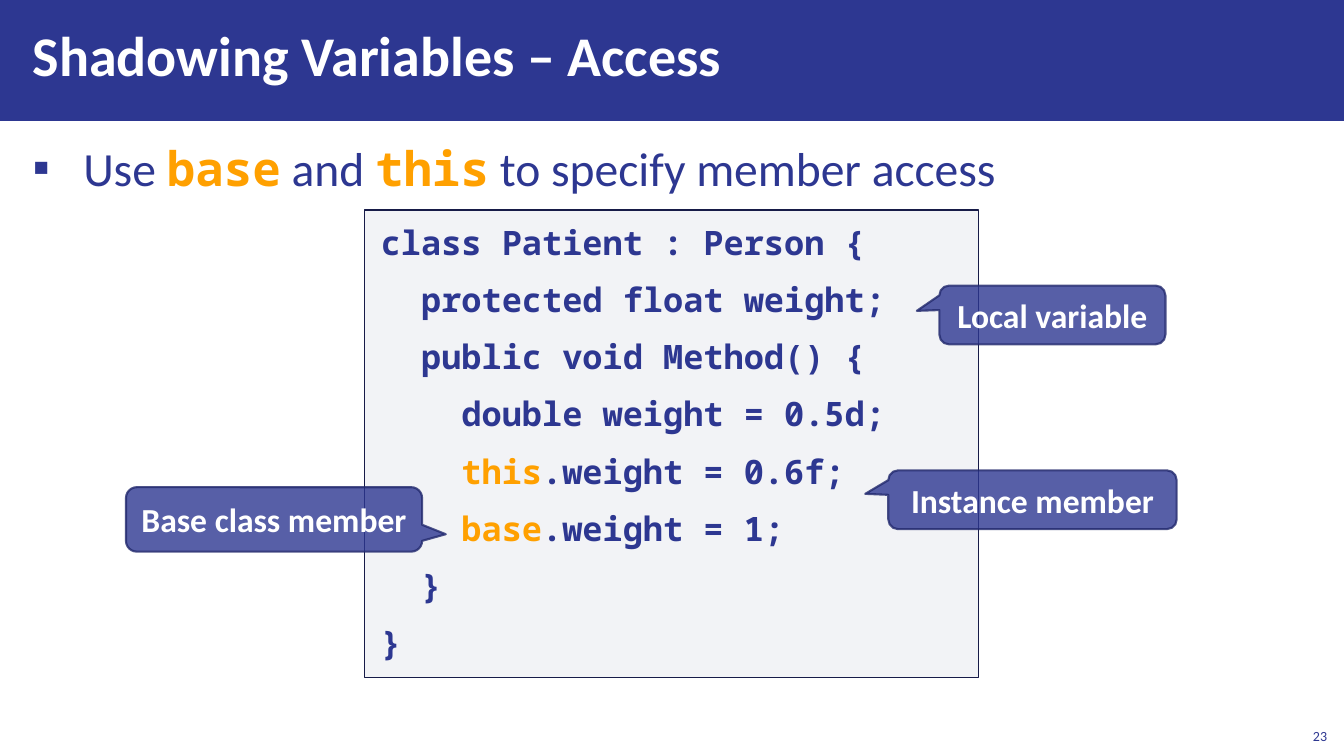
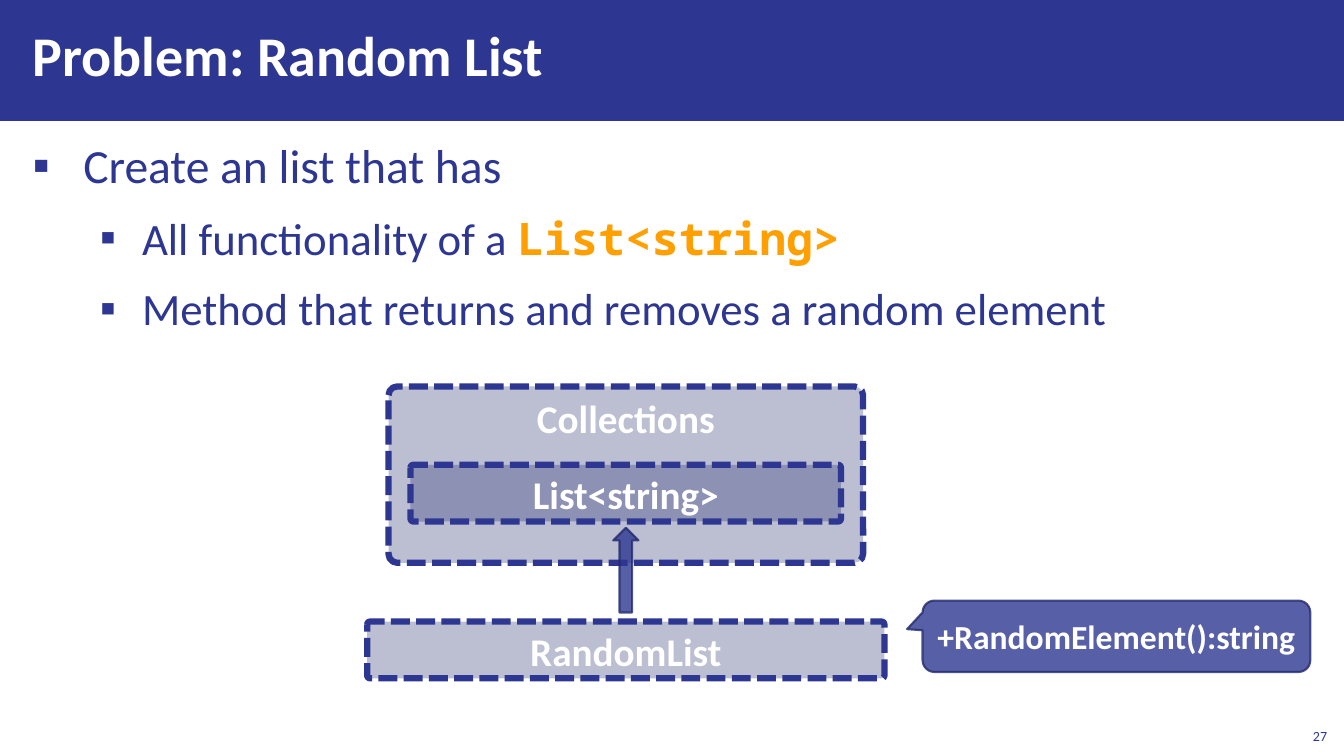
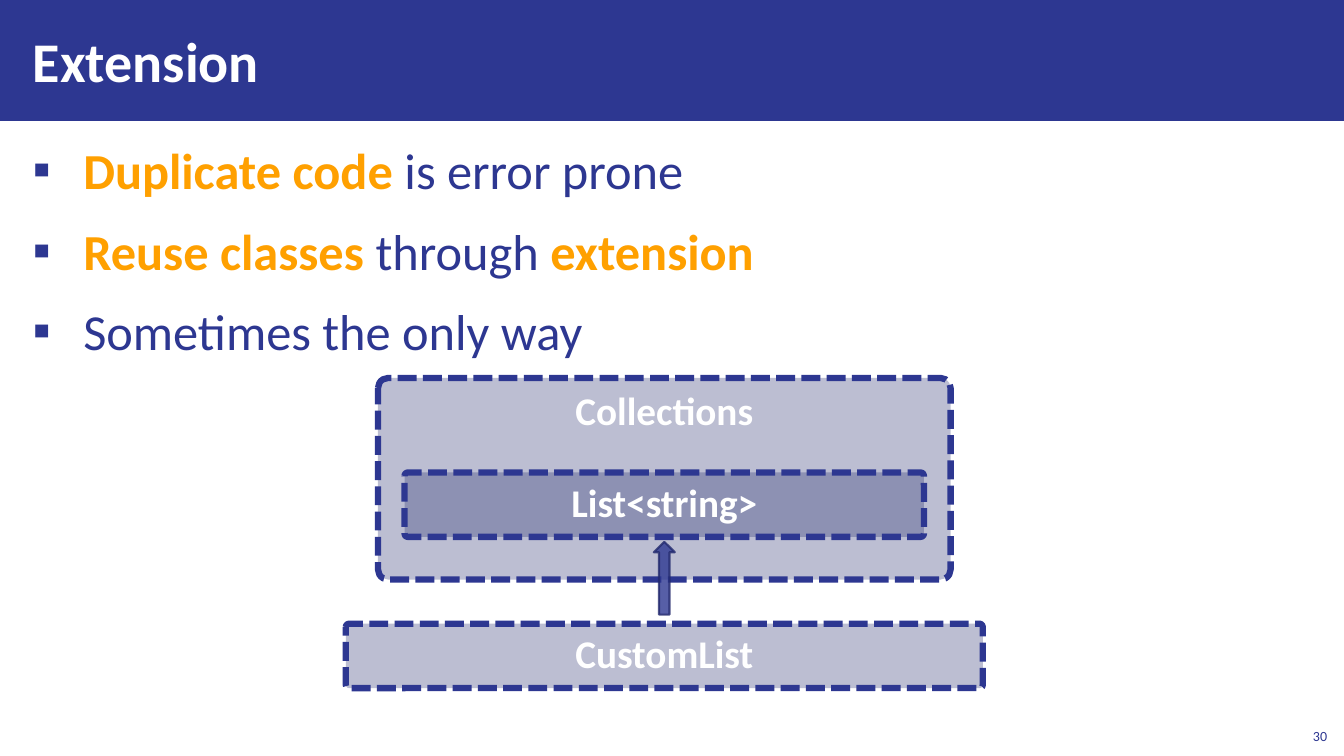
"""Build three slides on class inheritance: member access, a random list and extension."""
from lxml.etree import SubElement
from pptx import Presentation
from pptx.dml.color import RGBColor
from pptx.enum.dml import MSO_LINE
from pptx.enum.shapes import MSO_SHAPE as SHAPE
from pptx.enum.text import MSO_ANCHOR as ANCHOR, PP_ALIGN as ALIGN
from pptx.oxml.ns import qn
from pptx.util import Pt

NAVY, DARK, INK, GREY = "2D3791", "22296D", "171B48", "ADB4C3"
ORANGE, WHITE = "FFA000", "FFFFFF"
SANS, MONO = "Calibri", "Noto Sans Mono"
STYLES = {
    "plain": (SANS, NAVY, False),
    "strong": (SANS, ORANGE, True),
    "label": (SANS, WHITE, True),
    "code": (MONO, NAVY, True),
    "keyword": (MONO, ORANGE, True),
}
LEVELS = [(36, 36), (78, 30)]
CODE_INDENT = 28.8

SLIDES = [
    {
        "title": "Shadowing Variables – Access", "number": "23",
        "title_leading": Pt(40), "leading": 1.05,
        "bullets": [
            (0, 34, [("Use ", "plain"), ("base", "keyword"), (" and ", "plain"),
                     ("this", "keyword"), (" to specify member access", "plain")]),
        ],
        "code": [
            (0, [("class Patient : Person {", "code")]),
            (1, [("protected float weight;", "code")]),
            (1, [("public void Method() {", "code")]),
            (2, [("double weight = 0.5d;", "code")]),
            (2, [("this", "keyword"), (".weight = 0.6f;", "code")]),
            (2, [("base", "keyword"), (".weight = 1;", "code")]),
            (1, [("}", "code")]),
            (0, [("}", "code")]),
        ],
        "callouts": [
            ("Instance member", (634.5, 336, 206, 42), (-0.58, -0.1)),
            ("Base class member", (90, 348, 211.5, 46), (0.58, 0.23)),
            ("Local variable", (671, 204, 161.5, 42), (-0.6, -0.07)),
        ],
    },
    {
        "title": "Problem: Random List", "number": "27",
        "title_leading": Pt(40), "leading": 1.0,
        "bullets": [
            (0, 34, [("Create an list that has", "plain")]),
            (1, 32, [("All functionality of a ", "plain"), ("List<string>", "keyword")]),
            (1, 32, [("Method that returns and removes a random element", "plain")]),
        ],
        "diagram": {
            "center": 447,
            "boxes": [("Collections", 339, 276, 126), ("List<string>", 307.5, 332, 40.5),
                      ("RandomList", 369.5, 444, 40.5)],
            "arrow": (18, 377, 60.5),
        },
        "callouts": [("+RandomElement():string", (659, 429, 277, 51), (-0.54, -0.1))],
    },
    {
        "title": "Extension", "number": "30",
        "title_leading": 1.0, "leading": 1.05,
        "bullets": [
            (0, 36, [("Duplicate code ", "strong"), ("is error prone", "plain")]),
            (0, 36, [("Reuse classes ", "strong"), ("through ", "plain"),
                     ("extension", "strong")]),
            (0, 36, [("Sometimes the only way", "plain")]),
        ],
        "diagram": {
            "center": 474.5,
            "boxes": [("Collections", 409, 270, 144), ("List<string>", 371, 337.5, 46),
                      ("CustomList", 455, 445.5, 46)],
            "arrow": (15, 387, 52),
        },
    },
]


def paint(color_format, color, alpha=100):
    """Set a solid colour with an opacity in percent."""
    color_format.rgb = RGBColor.from_string(color)
    if alpha < 100:
        for node in color_format._xFill.iter(qn("a:srgbClr")):
            SubElement(node, qn("a:alpha")).set("val", str(alpha * 1000))


def add_shape(s, kind, box, fill, alpha=100, line=None, width=1, line_alpha=100):
    """Add a filled preset shape without shadow."""
    sp = s.shapes.add_shape(kind, *map(Pt, box))
    sp.shadow.inherit = False
    sp.fill.solid()
    paint(sp.fill.fore_color, fill, alpha)
    if line:
        sp.line.width = Pt(width)
        sp.line.fill.solid()
        paint(sp.line.color, line, line_alpha)
    else:
        sp.line.fill.background()
    return sp


def frame(sp, anchor=ANCHOR.TOP, inset=(7.2, 3.6)):
    """Prepare the text frame of a shape."""
    tf = sp.text_frame
    tf.word_wrap = True
    tf.vertical_anchor = anchor
    tf.margin_left = tf.margin_right = Pt(inset[0])
    tf.margin_top = tf.margin_bottom = Pt(inset[1])
    return tf


def write(p, runs, size, align=ALIGN.LEFT):
    """Fill a paragraph with styled runs."""
    p.alignment = align
    for text, style in runs:
        r = p.add_run()
        r.text = text
        r.font.size = Pt(size)
        r.font.name, color, r.font.bold = STYLES[style]
        paint(r.font.color, color)


def add_paragraphs(tf, count):
    """Return evenly spaced paragraphs, starting with the first one."""
    paragraphs = [tf.paragraphs[0]] + [tf.add_paragraph() for _ in range(count - 1)]
    for p in paragraphs:
        p.space_before = p.space_after = Pt(6)
    return paragraphs


def add_text(s, box, text, style, size, anchor, align, inset=(7.2, 3.6)):
    """Add a one-line text box and return its paragraph."""
    tf = frame(s.shapes.add_textbox(*map(Pt, box)), anchor, inset)
    write(tf.paragraphs[0], [(text, style)], size, align)
    return tf.paragraphs[0]


def add_bullets(s, bullets, leading):
    """Add the bulleted body text."""
    tf = frame(s.shapes.add_textbox(Pt(15), Pt(94.5), Pt(930), Pt(409.5)), inset=(8.5, 2.9))
    for p, (level, size, runs) in zip(add_paragraphs(tf, len(bullets)), bullets):
        write(p, runs, size)
        p.level = level
        p.line_spacing = leading
        margin, hanging = LEVELS[level]
        pr = p._p.get_or_add_pPr()
        pr.set("marL", str(Pt(margin)))
        pr.set("indent", str(-Pt(hanging)))
        color = SubElement(pr, qn("a:buClr"))
        SubElement(color, qn("a:srgbClr")).set("val", NAVY)
        SubElement(pr, qn("a:buFont")).set("typeface", SANS)
        SubElement(pr, qn("a:buChar")).set("char", "▪")


def add_code(s, lines):
    """Add the code panel."""
    sp = add_shape(s, SHAPE.RECTANGLE, (260.5, 150, 438.5, 334), GREY, 15, INK)
    tf = frame(sp, inset=(11.5, 8.5))
    for p, (depth, runs) in zip(add_paragraphs(tf, len(lines)), lines):
        write(p, runs, 24)
        p._p.get_or_add_pPr().set("marL", str(Pt(depth * CODE_INDENT)))


def add_diagram(s, center, boxes, arrow):
    """Add dashed class boxes on one axis, with the inheritance arrow."""
    for name, width, top, height in boxes:
        box = (center - width / 2, top, width, height)
        sp = add_shape(s, SHAPE.ROUNDED_RECTANGLE, box, DARK, 30, NAVY, 4.5)
        sp.adjustments[0] = 0.05
        sp.line.dash_style = MSO_LINE.SQUARE_DOT
        write(frame(sp).paragraphs[0], [(name, "label")], 28, ALIGN.CENTER)
    width, top, height = arrow
    add_shape(s, SHAPE.UP_ARROW, (center - width / 2, top, width, height),
              NAVY, 80, DARK, 1.5, 80)


def add_callout(s, text, box, tip):
    """Add a callout whose tip is given relative to its centre."""
    sp = add_shape(s, SHAPE.ROUNDED_RECTANGULAR_CALLOUT, box, NAVY, 80, DARK, 1.5, 80)
    sp.adjustments[0], sp.adjustments[1] = tip
    write(frame(sp, ANCHOR.MIDDLE).paragraphs[0], [(text, "label")], 24, ALIGN.CENTER)


def build_slide(prs, data):
    """Build one slide from its content."""
    s = prs.slides.add_slide(prs.slide_layouts[6])
    add_shape(s, SHAPE.RECTANGLE, (0, 0, 960, 86.4), NAVY)
    add_bullets(s, data["bullets"], data["leading"])
    title = add_text(s, (15, 8, 749, 70), data["title"], "label", 40,
                     ANCHOR.MIDDLE, ALIGN.LEFT, (8.5, 2.9))
    title.line_spacing = data["title_leading"]
    if "code" in data:
        add_code(s, data["code"])
    if "diagram" in data:
        add_diagram(s, **data["diagram"])
    for callout in data.get("callouts", []):
        add_callout(s, *callout)
    add_text(s, (926, 512.5, 29, 23), data["number"], "plain", 10, ANCHOR.BOTTOM, ALIGN.RIGHT)


def main():
    """Build and save the presentation."""
    prs = Presentation()
    prs.slide_width, prs.slide_height = Pt(960), Pt(540)
    for data in SLIDES:
        build_slide(prs, data)
    prs.save("out.pptx")


if __name__ == "__main__":
    main()
